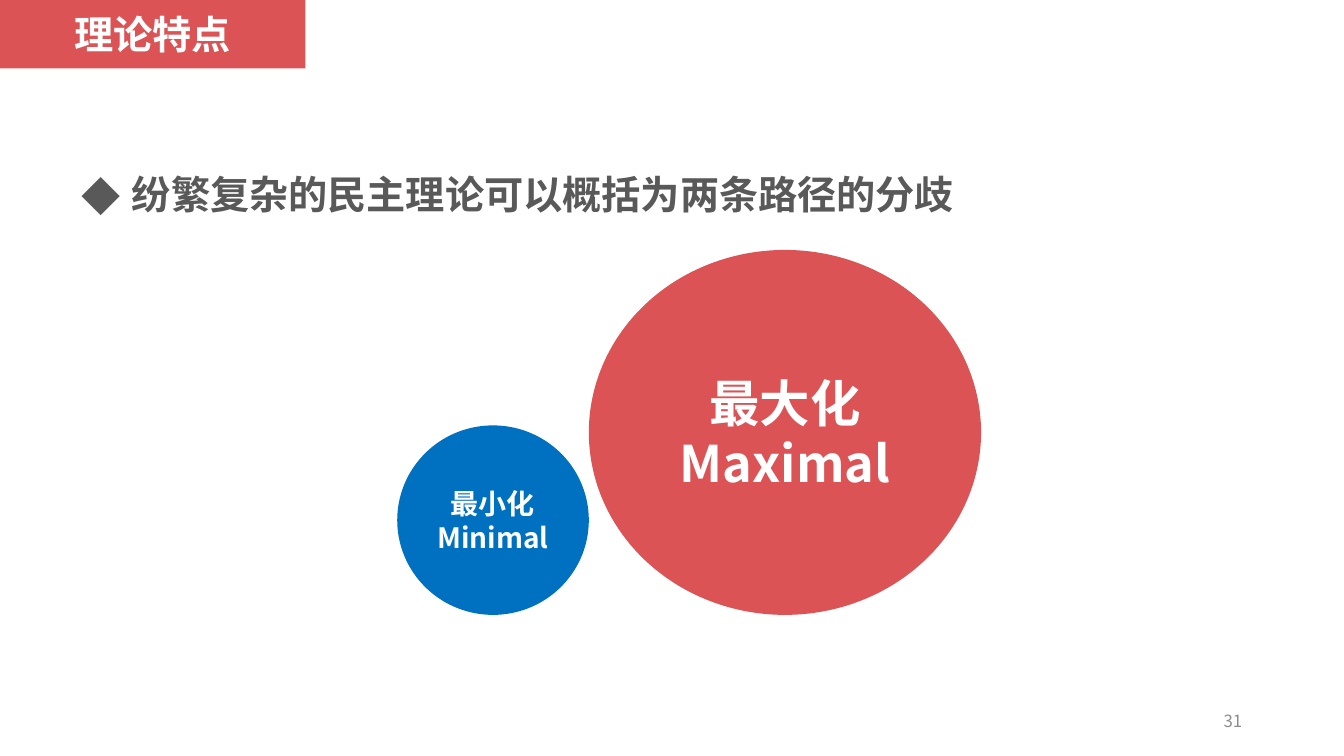
from lxml import etree
from pptx import Presentation
from pptx import util as u
from pptx.dml.color import RGBColor
from pptx.enum import shapes, text
from pptx.oxml import ns

RED = RGBColor(0xDB, 0x53, 0x55)
BLUE = RGBColor(0x00, 0x70, 0xC0)
WHITE = RGBColor(0xFF, 0xFF, 0xFF)
DARK = RGBColor(0x59, 0x59, 0x59)
GREY = RGBColor(0x8C, 0x8C, 0x8C)
FONT = "Noto Sans CJK SC"
RECT, OVAL = shapes.MSO_SHAPE.RECTANGLE, shapes.MSO_SHAPE.OVAL
LEFT, CENTER, RIGHT = text.PP_ALIGN.LEFT, text.PP_ALIGN.CENTER, text.PP_ALIGN.RIGHT
TOP, MIDDLE = text.MSO_ANCHOR.TOP, text.MSO_ANCHOR.MIDDLE

PX = u.Inches(1) // 100
SLIDE = (1333, 750)
BASELINE = 610  # both circles stand on this line
TOUCH = 584     # and meet at this x

STATEMENT = ("纷繁复杂的民主理论可以概括为两条路径的分歧", (71, 141, 1190, 81))
PAGE = ("31", (942, 695, 300, 40))
TITLE = ("理论特点", (0, 0, 303, 68))
MINIMAL = (["最小化", "Minimal"], (190, 188))
MAXIMAL = (["最大化", "Maximal"], (389, 362))


def write(sp, lines, size, color, bold=True, align=CENTER, anchor=MIDDLE):
    tf = sp.text_frame
    tf.word_wrap = True
    tf.vertical_anchor = anchor
    for i, line in enumerate(lines):
        p = tf.paragraphs[0] if i == 0 else tf.add_paragraph()
        p.alignment = align
        r = p.add_run()
        r.text = line
        for key, value in dict(size=u.Pt(size), bold=bold, name=FONT).items():
            setattr(r.font, key, value)
        r.font.color.rgb = color
        etree.SubElement(r.font._element, ns.qn("a:ea"), typeface=FONT)
    return tf


def add_text(slide, box, *args, **kwargs):
    sp = slide.shapes.add_textbox(*(v * PX for v in box))
    return write(sp, *args, **kwargs)


def add_filled(slide, kind, box, fill, lines, size):
    sp = slide.shapes.add_shape(kind, *(v * PX for v in box))
    sp.shadow.inherit = False
    sp.fill.solid()
    sp.fill.fore_color.rgb = fill
    sp.line.fill.background()
    write(sp, lines, size, WHITE)


def add_bullet(p, char, indent):
    pPr = p._p.get_or_add_pPr()
    pPr.set("marL", str(indent * PX))
    pPr.set("indent", str(-indent * PX))
    etree.SubElement(pPr, ns.qn("a:buFont"), typeface=FONT)
    etree.SubElement(pPr, ns.qn("a:buChar"), char=char)


def main():
    prs = Presentation()
    prs.slide_width, prs.slide_height = (v * PX for v in SLIDE)
    s = prs.slides.add_slide(prs.slide_layouts[6])

    line, box = STATEMENT
    tf = add_text(s, box, [line], 28, DARK, align=LEFT, anchor=TOP)
    add_bullet(tf.paragraphs[0], "◆", 50)
    tf.paragraphs[0].line_spacing = 1.5

    number, box = PAGE
    add_text(s, box, [number], 12, GREY, bold=False, align=RIGHT)

    title, box = TITLE
    add_filled(s, RECT, box, RED, [title], 28)

    lines, (w, h) = MINIMAL
    add_filled(s, OVAL, (TOUCH - w, BASELINE - h, w, h), BLUE, lines, 20)
    lines, (w, h) = MAXIMAL
    add_filled(s, OVAL, (TOUCH, BASELINE - h, w, h), RED, lines, 36)

    prs.save("out.pptx")


if __name__ == "__main__":
    main()
